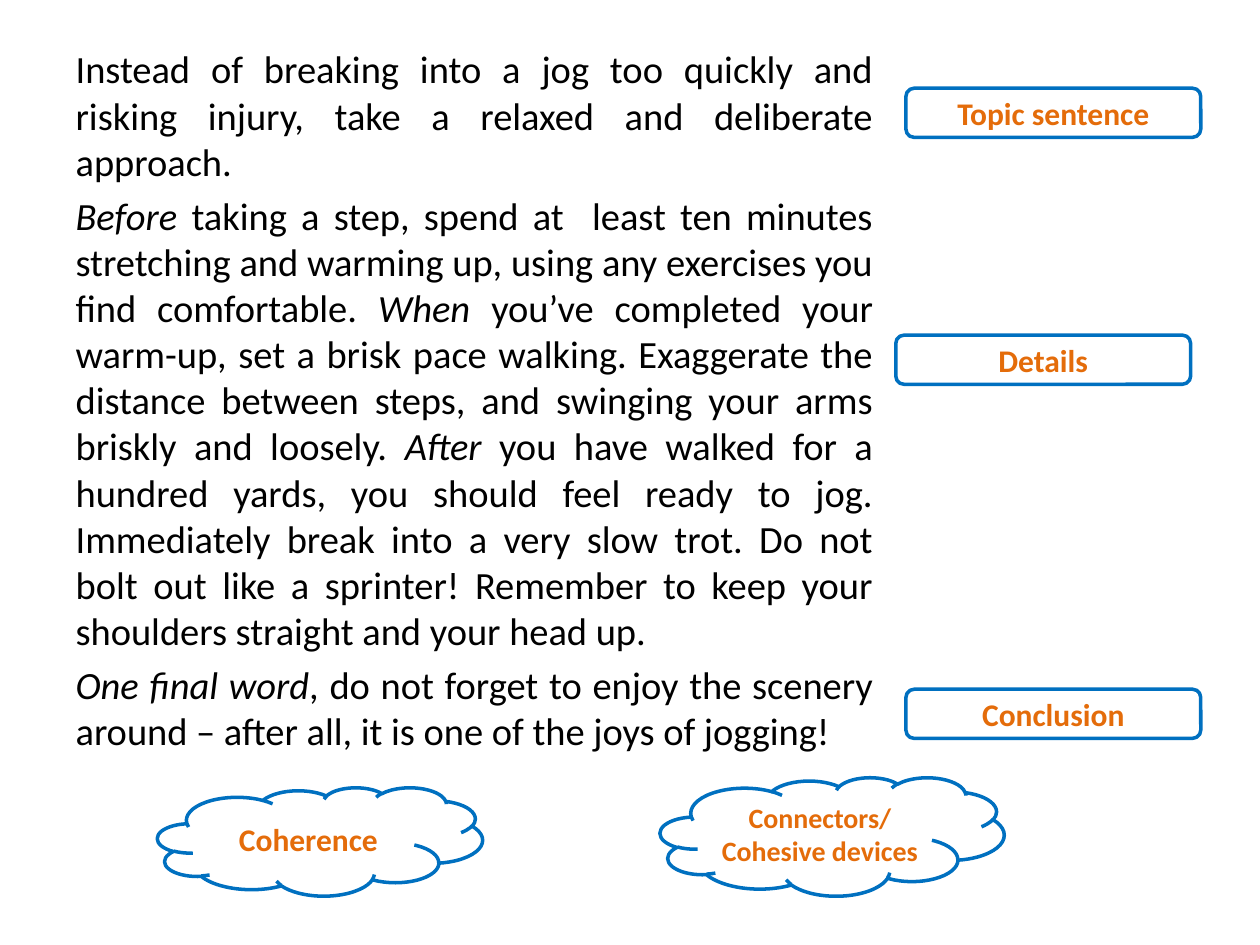
from lxml.etree import SubElement
from pptx import Presentation
from pptx.dml.color import RGBColor
from pptx.enum.shapes import MSO_SHAPE
from pptx.enum.text import MSO_ANCHOR, MSO_AUTO_SIZE, PP_ALIGN
from pptx.oxml.ns import qn
from pptx.util import Inches, Pt

COLORS = {"text": "000000", "label": "E46C0A", "outline": "0070C0"}
FONT = "Calibri"

# Each paragraph is a list of (text, italic) runs
PARAGRAPHS = [
    [("Instead of breaking into a jog too quickly and risking injury, "
      "take a relaxed and deliberate approach.", False)],
    [("Before", True),
     (" taking a step, spend at  least ten minutes stretching and warming up, "
      "using any exercises you find comfortable. ", False),
     ("When ", True),
     ("you’ve completed your warm-up, set a brisk pace walking. Exaggerate the "
      "distance between steps, and swinging your arms briskly and loosely. ", False),
     ("After ", True),
     ("you have walked for a hundred yards, you should feel ready to jog. "
      "Immediately break into a very slow trot. Do not bolt out like a sprinter! "
      "Remember to keep your shoulders straight and your head up.", False)],
    [("One final word", True),
     (", do not forget to enjoy the scenery around – after all, "
      "it is one of the joys of jogging!", False)],
]

# Labels: text, left, top
TAGS = [
    ("Topic sentence", 7.19, 0.7),
    ("Details", 7.11, 2.66),
    ("Conclusion", 7.19, 5.47),
]
TAG_SIZE = (2.34, 0.39)

# Clouds: text, box, text size
CLOUDS = [
    ("Connectors/ Cohesive devices", (5.24, 6.17, 2.73, 0.94), 16),
    ("Coherence", (1.25, 6.25, 2.58, 0.86), 18),
]


def add_text(paragraph, text, size=18, color="text", bold=False, italic=False):
    run = paragraph.add_run()
    run.text = text
    run.font.name = FONT
    run.font.size = Pt(size)
    run.font.bold = bold
    run.font.italic = italic
    run.font.color.rgb = RGBColor.from_string(COLORS[color])


def fill_body(placeholder, box):
    """Justified essay text without bullets."""
    placeholder.left, placeholder.top, placeholder.width, placeholder.height = map(Inches, box)
    frame = placeholder.text_frame
    frame.auto_size = MSO_AUTO_SIZE.NONE
    for index, runs in enumerate(PARAGRAPHS):
        paragraph = frame.add_paragraph() if index else frame.paragraphs[0]
        properties = paragraph._p.get_or_add_pPr()
        properties.set("marL", "0")
        properties.set("indent", "0")
        SubElement(properties, qn("a:buNone"))
        paragraph.alignment = PP_ALIGN.JUSTIFY
        paragraph.space_before = Pt(4.4 if index else 0)
        for text, italic in runs:
            add_text(paragraph, text, size=22, italic=italic)


def add_label(slide, kind, box, text, size=18):
    """Outlined shape with a centred bold label."""
    shape = slide.shapes.add_shape(kind, *map(Inches, box))
    shape.shadow.inherit = False
    shape.fill.background()
    shape.line.color.rgb = RGBColor.from_string(COLORS["outline"])
    shape.line.width = Pt(2)
    frame = shape.text_frame
    frame.word_wrap = True
    frame.vertical_anchor = MSO_ANCHOR.MIDDLE
    paragraph = frame.paragraphs[0]
    paragraph.alignment = PP_ALIGN.CENTER
    add_text(paragraph, text, size=size, color="label", bold=True)


def main():
    presentation = Presentation()
    presentation.slide_width, presentation.slide_height = Inches(10), Inches(7.5)
    slide = presentation.slides.add_slide(presentation.slide_layouts[1])

    # Essay text; the slide has no title
    title = slide.shapes.title._element
    title.getparent().remove(title)
    fill_body(slide.placeholders[1], (0.5, 0.31, 6.53, 6.15))

    # Paragraph roles beside the text
    for text, left, top in TAGS:
        add_label(slide, MSO_SHAPE.ROUNDED_RECTANGLE, (left, top, *TAG_SIZE), text)

    # Clouds below the text
    for text, box, size in CLOUDS:
        add_label(slide, MSO_SHAPE.CLOUD, box, text, size=size)

    presentation.save("out.pptx")


if __name__ == "__main__":
    main()
